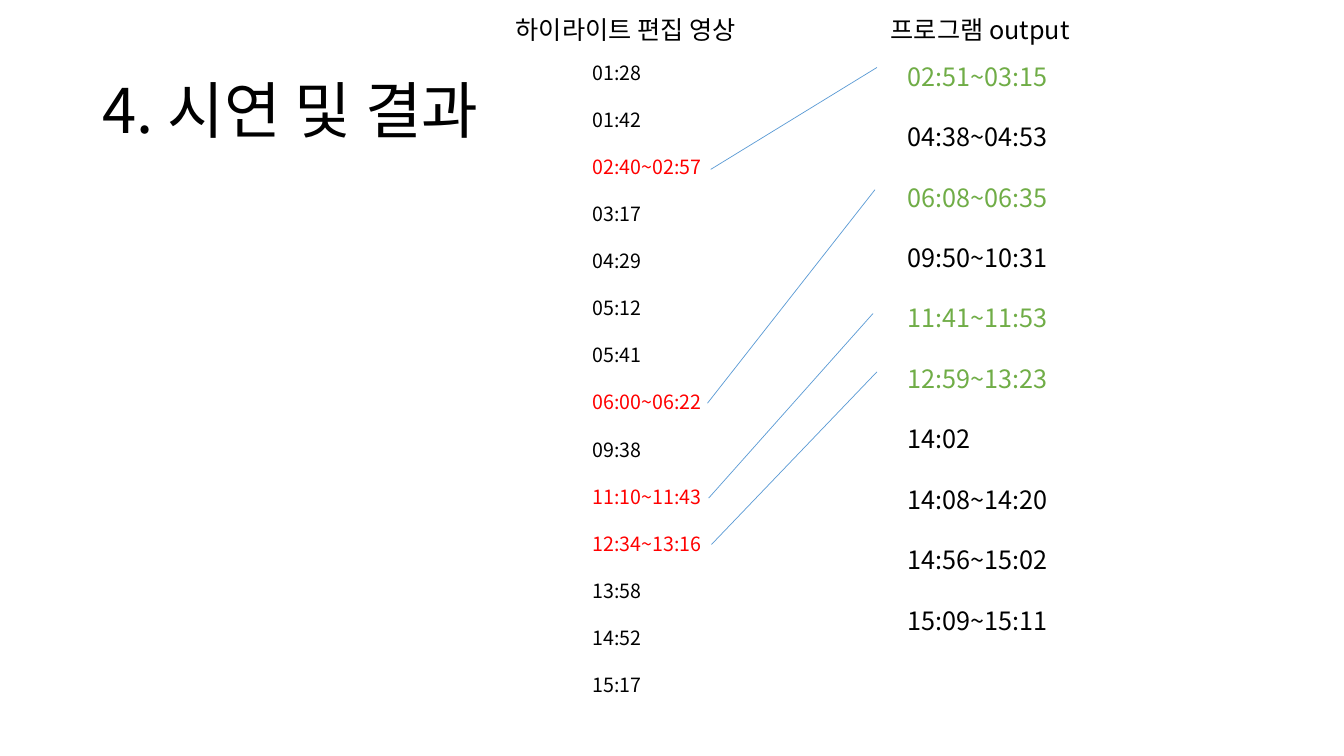
from pptx import Presentation
from pptx.dml.color import RGBColor
from pptx.enum.shapes import MSO_CONNECTOR, MSO_SHAPE
from pptx.enum.text import MSO_ANCHOR, PP_ALIGN
from pptx.oxml.ns import qn
from pptx.util import Cm, Pt
from lxml.etree import SubElement

FONT = "Noto Sans CJK KR"
BLACK = RGBColor(0x00, 0x00, 0x00)
RED = RGBColor(0xFF, 0x00, 0x00)
GREEN = RGBColor(0x70, 0xAD, 0x47)
BLUE = RGBColor(0x5B, 0x9B, 0xD5)

presentation = Presentation()
presentation.slide_width = Cm(33.87)
presentation.slide_height = Cm(19.05)
slide = presentation.slides.add_slide(presentation.slide_layouts[6])


def add_text(paragraph, text, size, color):
    paragraph.alignment = PP_ALIGN.LEFT
    run = paragraph.add_run()
    run.text = text
    run.font.size = Pt(size)
    run.font.name = FONT
    run.font.color.rgb = color
    SubElement(run._r.get_or_add_rPr(), qn("a:ea")).set("typeface", FONT)


# Title
title = slide.shapes.add_textbox(Cm(2.33), Cm(1.01), Cm(29.21), Cm(3.68))
title.text_frame.word_wrap = True
title.text_frame.vertical_anchor = MSO_ANCHOR.MIDDLE
title_paragraph = title.text_frame.paragraphs[0]
title_paragraph.line_spacing = 0.9
add_text(title_paragraph, "4. 시연 및 결과", 44, BLACK)

# Time columns: each entry is followed by a gap of one line
highlight_times = ["01:28", "01:42", "02:40~02:57", "03:17", "04:29", "05:12", "05:41",
                   "06:00~06:22", "09:38", "11:10~11:43", "12:34~13:16", "13:58",
                   "14:52", "15:17"]
output_times = ["02:51~03:15", "04:38~04:53", "06:08~06:35", "09:50~10:31", "11:41~11:53",
                "12:59~13:23", "14:02", "14:08~14:20", "14:56~15:02", "15:09~15:11"]
matched_highlights = {"02:40~02:57", "06:00~06:22", "11:10~11:43", "12:34~13:16"}
matched_outputs = {"02:51~03:15", "06:08~06:35", "11:41~11:53", "12:59~13:23"}

for times, matched, match_color, size, left, width, height in [
    (highlight_times, matched_highlights, RED, 14, 14.68, 7.32, 16.41),
    (output_times, matched_outputs, GREEN, 18, 22.63, 7.26, 17.17),
]:
    column = slide.shapes.add_textbox(Cm(left), Cm(1.41), Cm(width), Cm(height))
    frame = column.text_frame
    frame.word_wrap = True
    for index, time in enumerate(times):
        paragraph = frame.add_paragraph() if index else frame.paragraphs[0]
        paragraph.line_spacing = Pt(size * 1.2)
        paragraph.space_after = Pt(size * 1.2)
        add_text(paragraph, time, size, match_color if time in matched else BLACK)

# Lines joining the matching times
for start_x, start_y, end_x, end_y in [
    (17.91, 4.27, 22.1, 1.7),
    (17.83, 10.16, 22.05, 4.78),
    (17.86, 12.55, 22, 7.9),
    (17.93, 13.72, 22.1, 9.37),
]:
    match_line = slide.shapes.add_connector(
        MSO_CONNECTOR.STRAIGHT, Cm(start_x), Cm(start_y), Cm(end_x), Cm(end_y))
    match_line.line.color.rgb = BLUE
    match_line.line.width = Pt(0.5)
    SubElement(match_line._element.spPr, qn("a:effectLst"))

# Column headings
for text, left, width in [("하이라이트 편집 영상", 12.75, 6.65), ("프로그램 output", 22.2, 5.21)]:
    heading = slide.shapes.add_shape(
        MSO_SHAPE.RECTANGLE, Cm(left), Cm(0.23), Cm(width), Cm(1.02))
    heading.shadow.inherit = False
    heading.fill.background()
    heading.line.fill.background()
    heading.text_frame.word_wrap = False
    heading.text_frame.vertical_anchor = MSO_ANCHOR.TOP
    add_text(heading.text_frame.paragraphs[0], text, 18, BLACK)

presentation.save("out.pptx")
